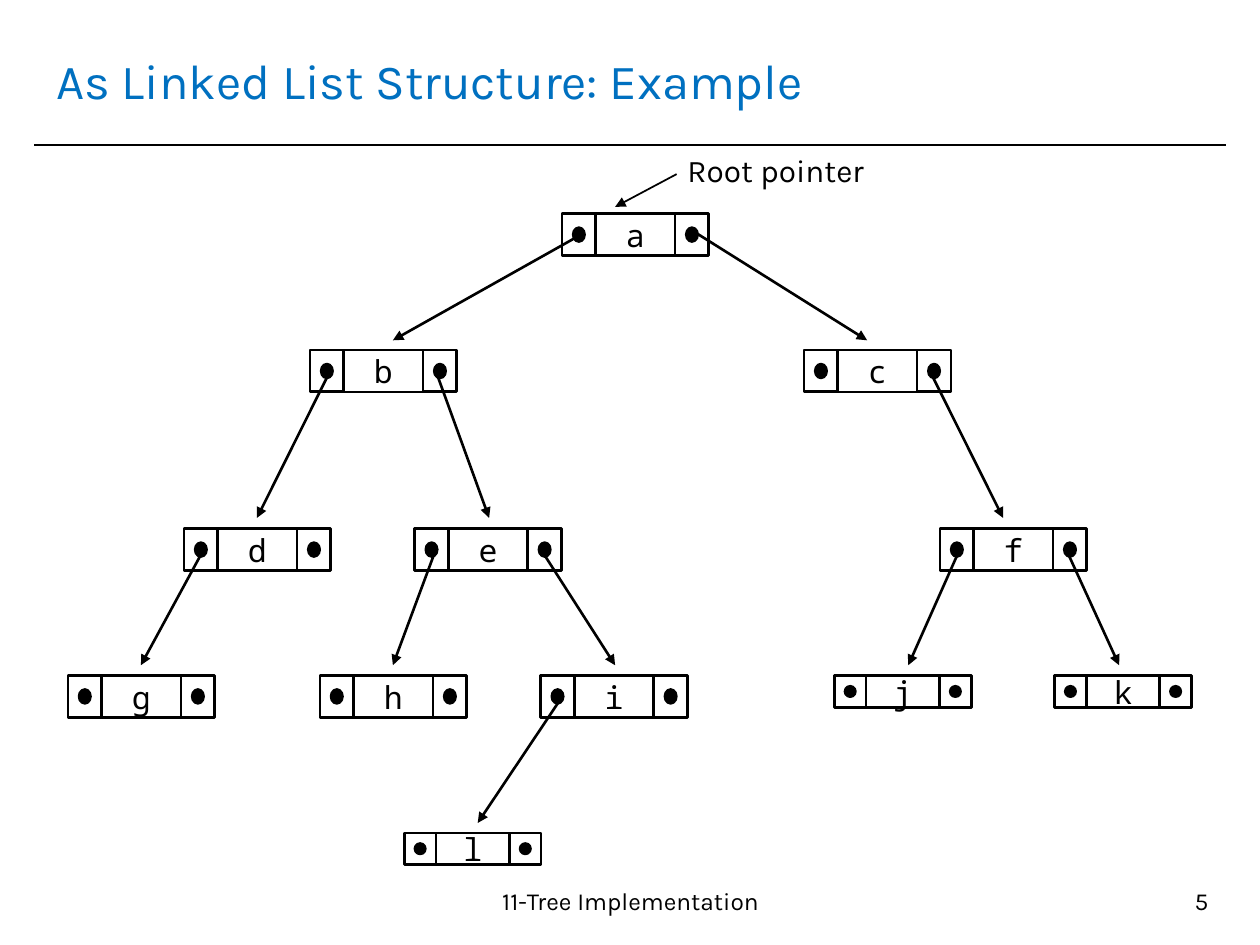
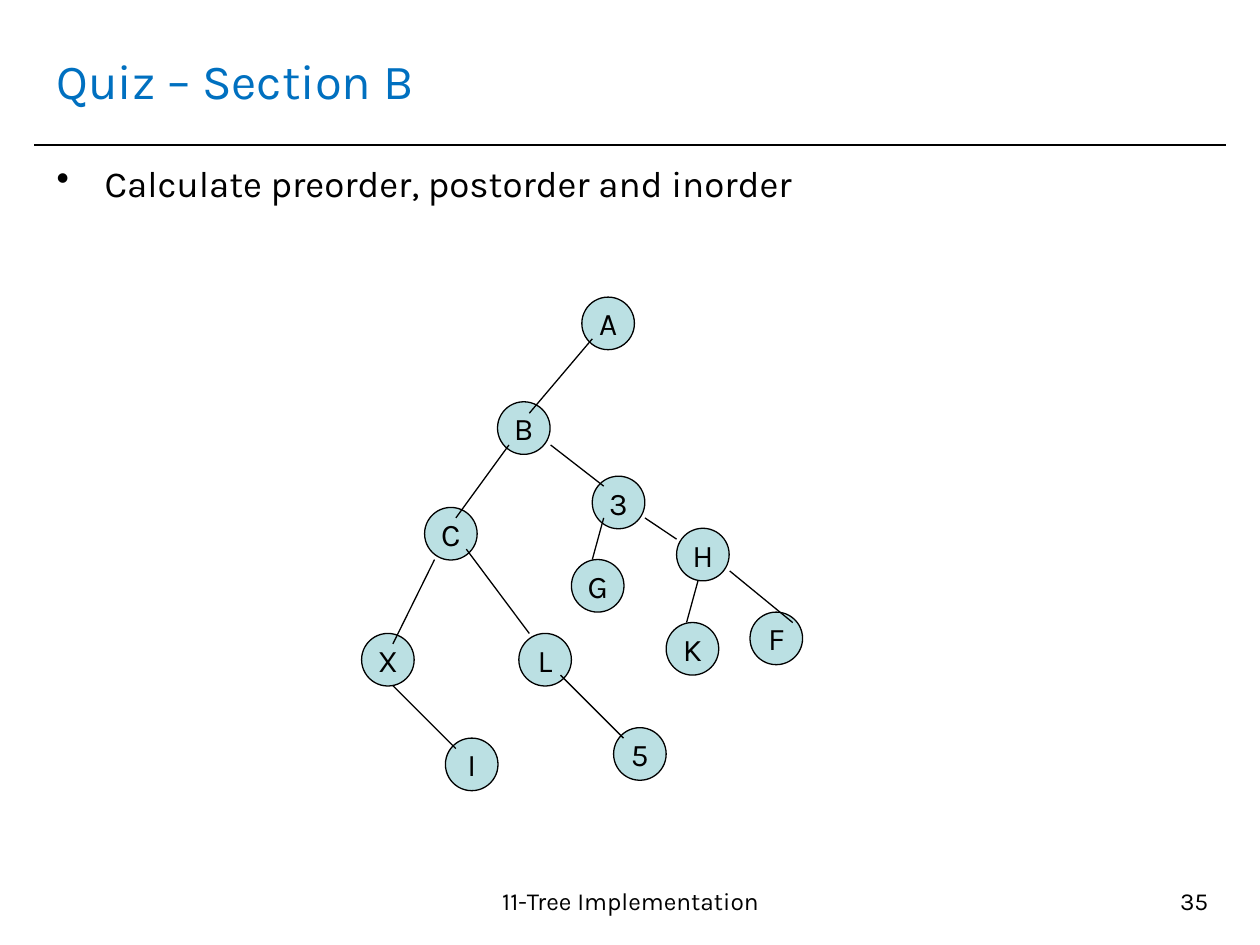
from lxml.etree import SubElement
from pptx import Presentation
from pptx.dml.color import RGBColor
from pptx.enum.shapes import MSO_CONNECTOR, MSO_SHAPE
from pptx.enum.text import MSO_ANCHOR, PP_ALIGN
from pptx.oxml.ns import qn
from pptx.util import Cm, Pt

COLORS = {"black": "000000", "title": "0070C0", "node": "BBE0E3"}
SANS = "Karla"
MONO = "Noto Sans Mono"


def write(text, slide, box, kind=None, fill=None, line=1.5, size=18, font=SANS,
          color="black", align=PP_ALIGN.LEFT, anchor=MSO_ANCHOR.TOP, wrap=True, bullet=None):
    lengths = [Cm(length) for length in box]
    if kind is None:
        shape = slide.shapes.add_textbox(*lengths)
    else:
        shape = slide.shapes.add_shape(kind, *lengths)
        shape.shadow.inherit = False
        shape.line.color.rgb = RGBColor.from_string(COLORS["black"])
        shape.line.width = Pt(line)
        if fill:
            shape.fill.solid()
            shape.fill.fore_color.rgb = RGBColor.from_string(COLORS[fill])
        else:
            shape.fill.background()
    if not text:
        return
    frame = shape.text_frame
    frame.word_wrap = wrap
    frame.vertical_anchor = anchor
    paragraph = frame.paragraphs[0]
    paragraph.alignment = align
    if bullet:
        properties = paragraph._p.get_or_add_pPr()
        properties.set("marL", str(Cm(0.97)))
        properties.set("indent", str(-Cm(0.97)))
        bullet_color = SubElement(properties, qn("a:buClr"))
        SubElement(bullet_color, qn("a:srgbClr"), val=COLORS["black"])
        SubElement(properties, qn("a:buChar"), char=bullet)
    run = paragraph.add_run()
    run.text = text
    run.font.name = font
    run.font.size = Pt(size)
    run.font.color.rgb = RGBColor.from_string(COLORS[color])


def connect(slide, start, end, width, arrow=False):
    connector = slide.shapes.add_connector(
        MSO_CONNECTOR.STRAIGHT, *[Cm(length) for length in (*start, *end)])
    connector.line.color.rgb = RGBColor.from_string(COLORS["black"])
    connector.line.width = Pt(width)
    if arrow:
        SubElement(connector.line._get_or_add_ln(), qn("a:tailEnd"), type="triangle")
    SubElement(connector._element.spPr, qn("a:effectLst"))


presentation = Presentation()
presentation.slide_width = Cm(25.4)
presentation.slide_height = Cm(19.05)

slides = []
for title, number in [("As Linked List Structure: Example", "5"), ("Quiz – Section B", "35")]:
    slide = presentation.slides.add_slide(presentation.slide_layouts[6])
    connect(slide, (0.69, 2.92), (24.71, 2.92), 1)
    write(title, slide, (0.89, 0.53, 23.6, 2.16), size=28, color="title",
          anchor=MSO_ANCHOR.MIDDLE)
    write("11-Tree Implementation", slide, (8.51, 17.73, 8.41, 1.32), size=14,
          align=PP_ALIGN.CENTER)
    write(number, slide, (18.69, 17.73, 5.92, 1.32), size=14, align=PP_ALIGN.RIGHT)
    slides.append(slide)
list_slide, quiz_slide = slides

centered = {"align": PP_ALIGN.CENTER, "anchor": MSO_ANCHOR.MIDDLE, "wrap": False}

large = {"pointer": 0.68, "value": 1.6, "height": 0.84, "dot": (0.23, 0.28)}
small = {"pointer": 0.64, "value": 1.48, "height": 0.64, "dot": (0.21, 0.21)}
records = [
    ("a", 11.33, 4.31, large),
    ("b", 6.25, 7.06, large), ("c", 16.21, 7.06, large),
    ("d", 3.71, 10.66, large), ("e", 8.36, 10.66, large), ("f", 18.95, 10.66, large),
    ("g", 1.37, 13.62, large), ("h", 6.45, 13.62, large), ("i", 10.9, 13.62, large),
    ("j", 16.82, 13.62, small), ("k", 21.26, 13.62, small),
    ("l", 8.15, 16.79, small),
]
for letter, left, top, form in records:
    pointer, value, height = form["pointer"], form["value"], form["height"]
    dot_width, dot_height = form["dot"]
    for cell_left in (left, left + pointer + value):
        write("", list_slide, (cell_left, top, pointer, height), MSO_SHAPE.RECTANGLE)
        write("", list_slide,
              (cell_left + (pointer - dot_width) / 2, top + (height - dot_height) / 2,
               dot_width, dot_height),
              MSO_SHAPE.OVAL, fill="black")
    write(letter, list_slide, (left + pointer, top, value, height),
          MSO_SHAPE.FLOWCHART_PROCESS, font=MONO, **centered)

pointer_levels = [
    (4.72, 6.86, [(11.73, 7.92), (14.07, 17.48)]),
    (7.49, 10.44, [(6.65, 5.18), (8.79, 9.86), (18.75, 20.22)]),
    (11.07, 13.41, [(4.11, 2.84), (8.79, 7.92), (10.9, 12.4), (19.35, 18.31), (21.49, 22.56)]),
    (14.05, 16.59, [(11.33, 9.63)]),
]
for start_y, end_y, spans in pointer_levels:
    for start_x, end_x in spans:
        connect(list_slide, (start_x, start_y), (end_x, end_y), 1.5, arrow=True)

write("Root pointer", list_slide, (13.61, 2.92, 4.19, 1.02))
connect(list_slide, (13.64, 3.51), (12.4, 4.17), 1, arrow=True)

write("Calculate preorder, postorder and inorder", quiz_slide, (0.89, 3.12, 23.6, 14.2),
      size=21, bullet="•")

diameter = 1.06
tree_nodes = [
    ("A", 11.73, 5.99), ("B", 10.03, 8.1), ("C", 8.56, 10.23), ("3", 11.94, 9.6),
    ("H", 13.64, 10.65), ("G", 11.52, 11.28), ("K", 13.43, 12.55), ("F", 15.12, 12.34),
    ("X", 7.29, 12.77), ("L", 10.46, 12.77), ("I", 8.98, 14.88), ("5", 12.37, 14.67),
]
for label, left, top in tree_nodes:
    write(label, quiz_slide, (left, top, diameter, diameter), MSO_SHAPE.OVAL,
          fill="node", line=0.75, **centered)

branches = [
    ((11.94, 6.83), (10.67, 8.33)),
    ((10.26, 8.97), (9.19, 10.44)),
    ((8.76, 11.28), (7.92, 12.98)),
    ((7.92, 13.82), (9.19, 15.09)),
    ((9.4, 11.07), (10.67, 12.77)),
    ((11.3, 13.61), (12.57, 14.88)),
    ((11.1, 8.97), (12.17, 9.8)),
    ((14.07, 11.71), (13.84, 12.55)),
    ((14.71, 11.51), (15.98, 12.55)),
    ((13, 10.44), (13.64, 10.87)),
    ((12.17, 10.44), (11.94, 11.28)),
]
for start, end in branches:
    connect(quiz_slide, start, end, 0.75)

presentation.save("out.pptx")
